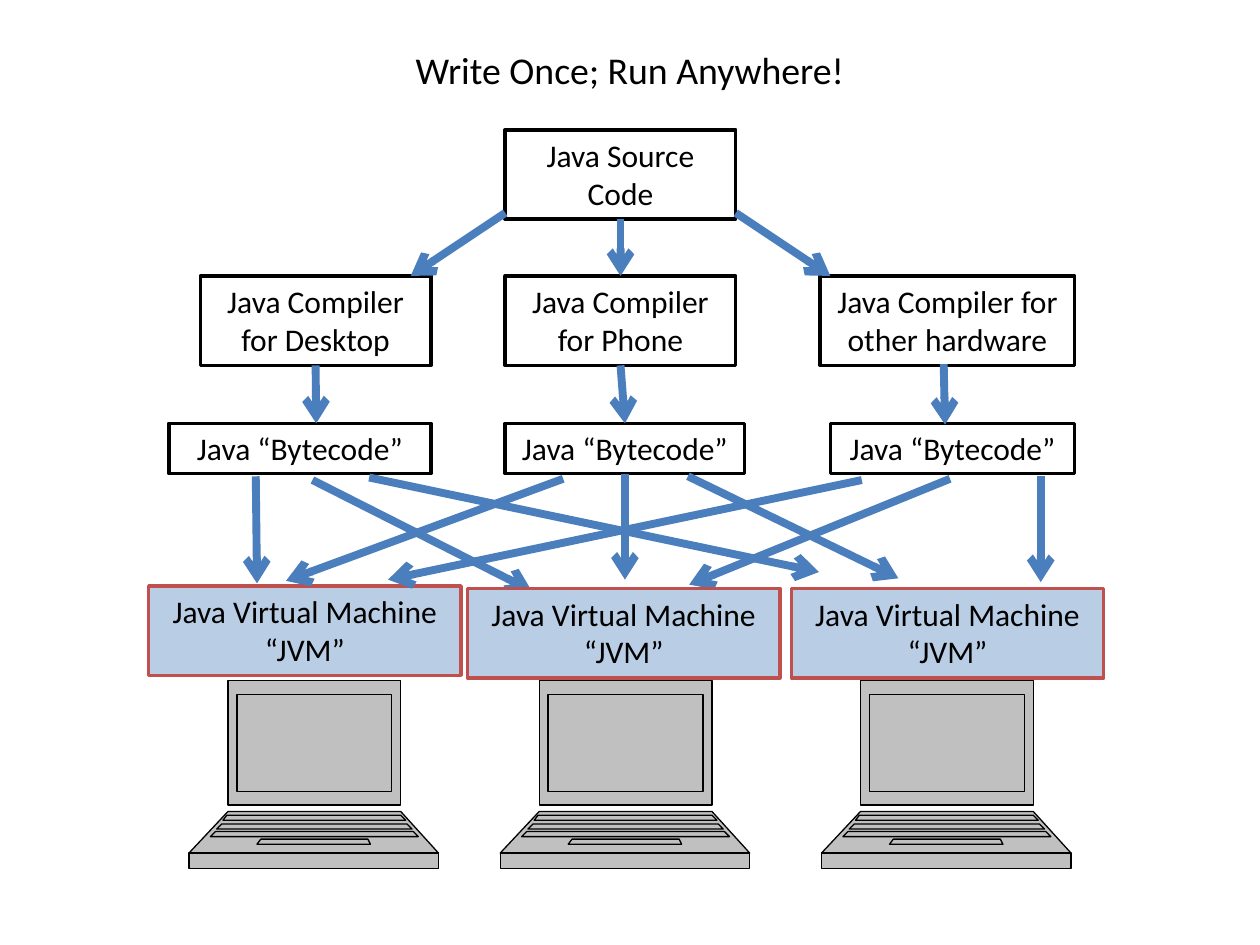
"""Build the slide on compiling Java once and running it on any machine."""
from copy import deepcopy
from typing import NamedTuple, Optional

from lxml.etree import SubElement
from pptx import Presentation
from pptx.dml.color import RGBColor
from pptx.enum.shapes import MSO_CONNECTOR, MSO_SHAPE
from pptx.enum.text import MSO_ANCHOR, MSO_AUTO_SIZE, PP_ALIGN
from pptx.oxml.ns import qn
from pptx.util import Inches, Pt

BLACK = RGBColor(0x00, 0x00, 0x00)
WHITE = RGBColor(0xFF, 0xFF, 0xFF)
GREY = RGBColor(0xC0, 0xC0, 0xC0)
BLUE = RGBColor(0x4B, 0x7E, 0xBC)
PALE_BLUE = RGBColor(0xB9, 0xCD, 0xE5)
RED = RGBColor(0xC0, 0x50, 0x4D)

BOX_FRAME = {"word_wrap": True, "auto_size": MSO_AUTO_SIZE.SHAPE_TO_FIT_TEXT,
             "vertical_anchor": MSO_ANCHOR.TOP}
TITLE_FRAME = {"word_wrap": True, "auto_size": MSO_AUTO_SIZE.NONE,
               "vertical_anchor": MSO_ANCHOR.MIDDLE}
BOX_FONT = {"name": "Calibri", "size": Pt(18)}
TITLE_FONT = {"name": "Calibri", "size": Pt(21.6)}

ONE_LINE, TWO_LINES = 0.4, 0.71
BOTTOM, TOP = 2, 0


class Box(NamedTuple):
    text: str
    left: float
    top: float
    width: float
    height: float = TWO_LINES
    fill: RGBColor = WHITE
    line: RGBColor = BLACK


class Arrow(NamedTuple):
    x1: float
    y1: float
    x2: float
    y2: float
    source: Optional[str] = None
    target: Optional[str] = None


class Panel(NamedTuple):
    top: float
    bottom: float
    top_left: float
    top_right: float
    bottom_left: float
    bottom_right: float


BOXES = {
    "source": Box("Java Source Code", 4.01, 1.03, 1.83),
    "desktop compiler": Box("Java Compiler for Desktop", 1.59, 2.19, 1.83),
    "phone compiler": Box("Java Compiler for Phone", 4.01, 2.19, 1.83),
    "other compiler": Box("Java Compiler for other hardware", 6.51, 2.19, 2.02),
    "desktop bytecode": Box("Java “Bytecode”", 1.34, 3.36, 2.08, ONE_LINE),
    "phone bytecode": Box("Java “Bytecode”", 4.01, 3.36, 1.9, ONE_LINE),
    "other bytecode": Box("Java “Bytecode”", 6.59, 3.36, 1.94, ONE_LINE),
}
MACHINES = [Box("Java Virtual Machine\n“JVM”", left, top, 2.48, TWO_LINES, PALE_BLUE, RED)
            for left, top in ((1.18, 4.65), (3.71, 4.67), (6.28, 4.67))]

ARROWS_BEHIND = [
    Arrow(4.01, 1.69, 3.26, 2.19),
    Arrow(4.91, 1.73, 4.91, 2.22, "source", "phone compiler"),
    Arrow(5.84, 1.69, 6.59, 2.19),
    Arrow(2.51, 2.9, 2.51, 3.36, "desktop compiler"),
    Arrow(4.93, 2.9, 4.96, 3.36, "phone compiler", "phone bytecode"),
    Arrow(7.49, 2.89, 7.5, 3.37),
    Arrow(2.48, 3.81, 4.22, 4.69),
    Arrow(4.97, 3.78, 4.96, 4.6, "phone bytecode"),
    Arrow(7.54, 3.8, 5.47, 4.64),
]
ARROWS_IN_FRONT = [
    Arrow(2.03, 3.78, 2.04, 4.63),
    Arrow(2.93, 3.79, 6.5, 4.54),
    Arrow(4.47, 3.8, 2.27, 4.61),
    Arrow(5.46, 3.78, 7.13, 4.59),
    Arrow(8.26, 3.78, 8.26, 4.62),
    Arrow(6.84, 3.81, 3.08, 4.6),
]

LAPTOP_LEFTS = (1.5, 3.97, 6.52)
LAPTOP_TOP = 5.4
LAPTOP_PANELS = [
    Panel(0, 0.99, 0.31, 1.68, 0.31, 1.68),
    Panel(1.04, 1.37, 0.31, 1.68, 0, 1.98),
    Panel(1.37, 1.49, 0, 1.98, 0, 1.98),
    Panel(0.11, 0.88, 0.38, 1.61, 0.38, 1.61),
    Panel(1.07, 1.11, 0.3, 1.68, 0.27, 1.72),
    Panel(1.26, 1.3, 0.57, 1.42, 0.54, 1.44),
    Panel(1.14, 1.18, 0.26, 1.73, 0.22, 1.77),
    Panel(1.2, 1.24, 0.21, 1.78, 0.17, 1.82),
]


def write_text(s, text: str, frame: dict, font: dict) -> None:
    """Fill a shape with centred black text."""
    tf = s.text_frame
    tf.text = text
    for name, value in frame.items():
        setattr(tf, name, value)
    for p in tf.paragraphs:
        p.alignment = PP_ALIGN.CENTER
        for r in p.runs:
            for name, value in font.items():
                setattr(r.font, name, value)
            r.font.color.rgb = BLACK


def paint(sp, fill: RGBColor, line: RGBColor, width: float) -> None:
    """Give a shape a flat fill and an outline."""
    sp.shadow.inherit = False
    sp.fill.solid()
    sp.fill.fore_color.rgb = fill
    sp.line.color.rgb = line
    sp.line.width = Pt(width)


def add_box(shapes, box: Box):
    """Draw a labelled rectangle."""
    sp = shapes.add_shape(MSO_SHAPE.RECTANGLE, Inches(box.left), Inches(box.top),
                          Inches(box.width), Inches(box.height))
    paint(sp, box.fill, box.line, 2)
    write_text(sp, box.text, BOX_FRAME, BOX_FONT)
    return sp


def add_arrow(shapes, arrow: Arrow, drawn: dict) -> None:
    """Draw an arrow and join it to its boxes."""
    c = shapes.add_connector(MSO_CONNECTOR.STRAIGHT, Inches(arrow.x1), Inches(arrow.y1),
                             Inches(arrow.x2), Inches(arrow.y2))
    if arrow.source:
        c.begin_connect(drawn[arrow.source], BOTTOM)
    if arrow.target:
        c.end_connect(drawn[arrow.target], TOP)
    c.line.color.rgb = BLUE
    c.line.width = Pt(4.5)
    SubElement(c.line._get_or_add_ln(), qn("a:tailEnd"), type="arrow")
    SubElement(c._element.spPr, qn("a:effectLst"))


def add_laptop(shapes, left: float, top: float) -> None:
    """Draw a laptop as one outline whose panels are filled separately."""
    builder = None
    for panel in LAPTOP_PANELS:
        corners = [(Inches(x), Inches(y)) for x, y in (
            (panel.top_left, panel.top), (panel.top_right, panel.top),
            (panel.bottom_right, panel.bottom), (panel.bottom_left, panel.bottom))]
        if builder is None:
            builder = shapes.build_freeform(*corners[0])
        else:
            builder.move_to(*corners[0])
        builder.add_line_segments(corners[1:], close=True)
    sp = builder.convert_to_shape(Inches(left), Inches(top))
    paint(sp, GREY, BLACK, 0.75)
    whole = sp._element.find(".//" + qn("a:path"))
    steps = list(whole)
    size = len(steps) // len(LAPTOP_PANELS)
    for start in range(0, len(steps), size):
        part = deepcopy(whole)
        part[:] = steps[start:start + size]
        whole.getparent().append(part)
    whole.getparent().remove(whole)


def main() -> None:
    """Assemble and save the slide."""
    prs = Presentation()
    prs.slide_width, prs.slide_height = Inches(10), Inches(7.5)
    shapes = prs.slides.add_slide(prs.slide_layouts[6]).shapes
    title = shapes.add_textbox(Inches(0.5), Inches(0.3), Inches(9), Inches(0.5))
    write_text(title, "Write Once; Run Anywhere!", TITLE_FRAME, TITLE_FONT)
    drawn = {name: add_box(shapes, box) for name, box in BOXES.items()}
    for left in LAPTOP_LEFTS:
        add_laptop(shapes, left, LAPTOP_TOP)
    for arrow in ARROWS_BEHIND:
        add_arrow(shapes, arrow, drawn)
    for machine in MACHINES:
        add_box(shapes, machine)
    for arrow in ARROWS_IN_FRONT:
        add_arrow(shapes, arrow, drawn)
    prs.save("out.pptx")


if __name__ == "__main__":
    main()
